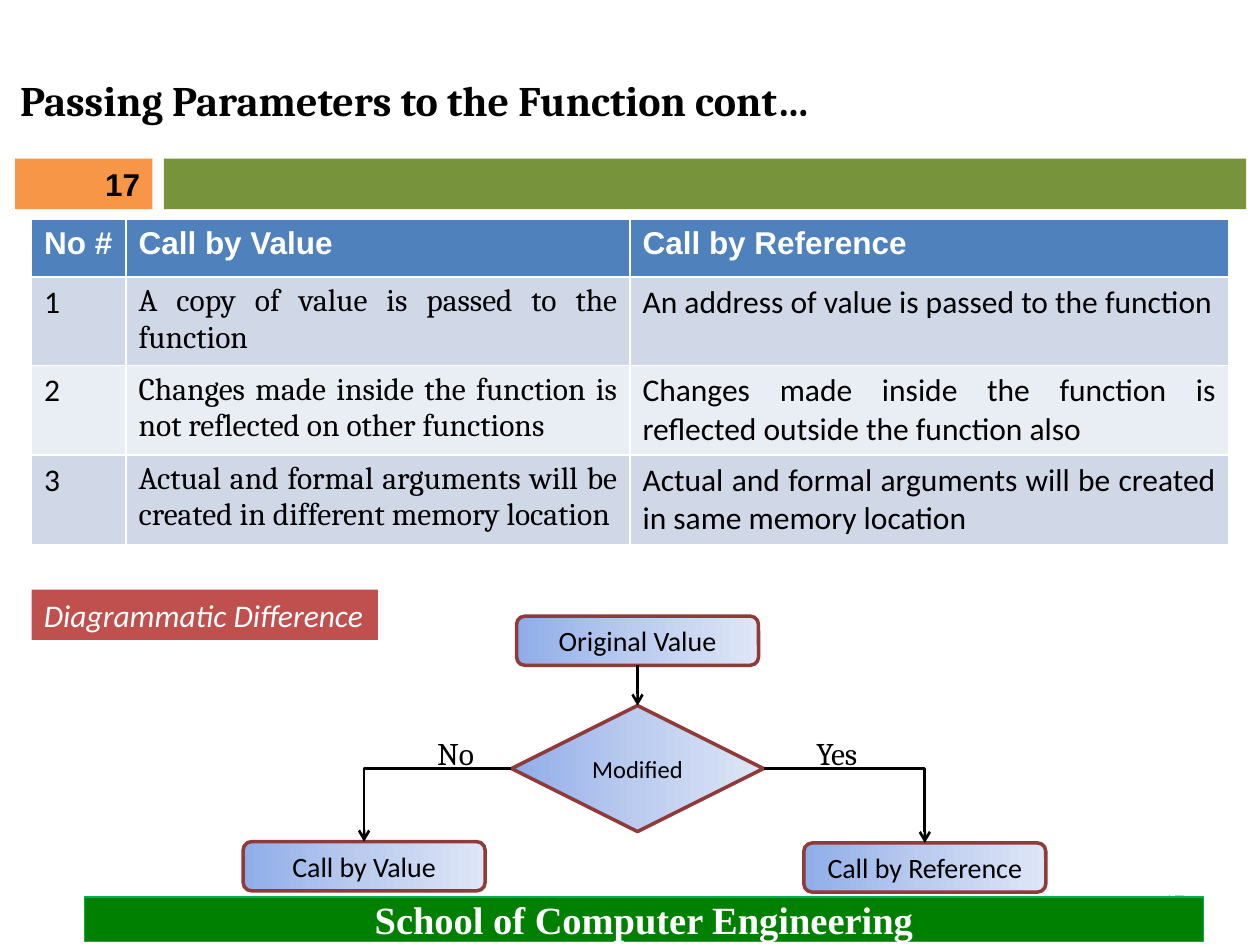
from copy import deepcopy
from pptx import Presentation
from pptx.dml.color import RGBColor
from pptx.enum.shapes import MSO_CONNECTOR as CONN, MSO_SHAPE as SHAPE
from pptx.enum.text import MSO_ANCHOR as ANCHOR, PP_ALIGN as ALIGN
from pptx.oxml.ns import qn
from pptx.util import Inches, Pt

COLS, ROWS = 100, 75
WIDTH, HEIGHT = Inches(10), Inches(7.5)
GRADIENT = [(0, "8FADE9"), (0.5, "BCCCEF"), (1, "DEE6F7")]
TABLE_ROWS = [
    ("No #", "Call by Value", "Call by Reference"),
    ("1", "A copy of value is passed to the function",
     "An address of value is passed to the function"),
    ("2", "Changes made inside the function is not reflected on other functions",
     "Changes made inside the function is reflected outside the function also"),
    ("3", "Actual and formal arguments will be created in different memory location",
     "Actual and formal arguments will be created in same memory location"),
]


def rgb(color):
    """Turn a hex string into a colour."""
    return RGBColor.from_string(color)


def x_at(col):
    """Horizontal length of a number of grid columns."""
    return int(WIDTH * col / COLS)


def y_at(row):
    """Vertical length of a number of grid rows."""
    return int(HEIGHT * row / ROWS)


def grid(box):
    """Turn a left, top, width, height box of grid units into lengths."""
    left, top, width, height = box
    return x_at(left), y_at(top), x_at(width), y_at(height)


def write(tf, text, font, size, color="000000", align=ALIGN.LEFT,
          bold=False, italic=False):
    """Set one paragraph of text and format its run."""
    tf.text = text
    p = tf.paragraphs[0]
    p.alignment = align
    f = p.runs[0].font
    f.name, f.size, f.bold, f.italic = font, Pt(size), bold, italic
    f.color.rgb = rgb(color)


def add_block(slide, box, fill, kind=SHAPE.RECTANGLE, line=None, weight=0.75):
    """Add a flat shape with an optional outline."""
    sp = slide.shapes.add_shape(kind, *grid(box))
    sp.shadow.inherit = False
    sp.fill.solid()
    sp.fill.fore_color.rgb = rgb(fill)
    if line:
        sp.line.color.rgb = rgb(line)
        sp.line.width = Pt(weight)
    else:
        sp.line.fill.background()
    sp.text_frame.vertical_anchor = ANCHOR.MIDDLE
    return sp


def add_label(slide, box, text, font, size, color="000000", align=ALIGN.LEFT,
              anchor=ANCHOR.TOP, wrap=False):
    """Add a plain text box."""
    tf = slide.shapes.add_textbox(*grid(box)).text_frame
    tf.word_wrap = wrap
    tf.vertical_anchor = anchor
    write(tf, text, font, size, color, align)


def add_title(slide, box, text):
    """Place and format the title placeholder."""
    title = slide.shapes.title
    title.left, title.top, title.width, title.height = grid(box)
    title.text_frame.vertical_anchor = ANCHOR.MIDDLE
    write(title.text_frame, text, "Cambria", 24, bold=True)


def add_footer(slide, box, text, number):
    """Add the footer banner over the small page number."""
    left, top, width, _ = box
    add_label(slide, (left + width - 23.8, top - 1.7, 23.3, 4), number,
              "Calibri", 12, "8C8C8C", ALIGN.RIGHT, ANCHOR.MIDDLE, True)
    sp = add_block(slide, box, "008000", line="00B050")
    write(sp.text_frame, text, "Times New Roman", 22, "FFFFFF", ALIGN.CENTER, True)


def add_comparison(slide, box):
    """Add the comparison table."""
    table = slide.shapes.add_table(len(TABLE_ROWS), 3, *grid(box)).table
    for column, width in zip(table.columns, (7.5, 40, 47.5)):
        column.width = x_at(width)
    for row, height in zip(table.rows, (4.6, 6.7, 7.1, 7.1)):
        row.height = y_at(height)
    for i, texts in enumerate(TABLE_ROWS):
        for j, text in enumerate(texts):
            cell = table.cell(i, j)
            cell.fill.solid()
            if i == 0:
                cell.fill.fore_color.rgb = rgb("4F81BD")
                write(cell.text_frame, text, "Arial", 18, "FFFFFF", bold=True)
            else:
                cell.fill.fore_color.rgb = rgb("D0D8E8" if i % 2 else "E9EDF4")
                write(cell.text_frame, text, "Cambria" if j == 1 else "Calibri", 18,
                      align=ALIGN.JUSTIFY if j else ALIGN.LEFT)


def add_node(slide, box, text, kind=SHAPE.ROUNDED_RECTANGLE, size=16):
    """Add a flowchart node with a gradient fill."""
    sp = add_block(slide, box, "FFFFFF", kind, "8E3B39", 2)
    sp.fill.gradient()
    sp.fill.gradient_angle = 0
    stops = sp._element.spPr.find(".//" + qn("a:gsLst"))
    stops.insert(1, deepcopy(stops[0]))
    for stop, (position, color) in zip(sp.fill.gradient_stops, GRADIENT):
        stop.position = position
        stop.color.rgb = rgb(color)
    write(sp.text_frame, text, "Calibri", size, align=ALIGN.CENTER)
    return sp


def add_arrow(slide, start, start_site, end, end_site, kind=CONN.STRAIGHT):
    """Join two nodes with an arrow, bent once when it is an elbow."""
    cxn = slide.shapes.add_connector(kind, 0, 0, 0, 0)
    cxn.begin_connect(start, start_site)
    cxn.end_connect(end, end_site)
    cxn.line.color.rgb = rgb("000000")
    cxn.line.width = Pt(1.5)
    spPr = cxn._element.spPr
    if kind == CONN.ELBOW:
        spPr.find(qn("a:prstGeom")).set("prst", "bentConnector2")
    ln = spPr.find(qn("a:ln"))
    ln.append(ln.makeelement(qn("a:tailEnd"), {"type": "arrow"}))
    spPr.append(spPr.makeelement(qn("a:effectLst"), {}))


def add_flowchart(slide, box):
    """Add the decision diagram inside its box."""
    left, top, width, height = box
    node_w, node_h = 19.2, 3.9
    middle, low = left + 31.3, top + height - node_h
    source = add_node(slide, (middle - node_w / 2, top, node_w, node_h), "Original Value")
    choice = add_node(slide, (middle - 10, top + 7.1, 20, 10), "Modified",
                      SHAPE.DIAMOND, 14)
    reference = add_node(slide, (left + width - node_w, low, node_w, node_h),
                         "Call by Reference")
    value = add_node(slide, (left, low - 0.1, node_w, node_h), "Call by Value")
    add_arrow(slide, source, 2, choice, 0)
    add_arrow(slide, choice, 3, reference, 0, CONN.ELBOW)
    add_arrow(slide, choice, 1, value, 0, CONN.ELBOW)
    add_label(slide, (middle + 13.2, top + 8.9, 5.5, 4), "Yes", "Cambria", 18)
    add_label(slide, (middle - 16.9, top + 8.9, 5.1, 4), "No", "Cambria", 18)


def add_caption(slide, box, text):
    """Add the caption of the diagram."""
    sp = add_block(slide, box, "C0504D")
    sp.text_frame.vertical_anchor = ANCHOR.TOP
    write(sp.text_frame, text, "Calibri", 18, "FFFFFF", italic=True)


def add_band(slide, box, number):
    """Add the band under the title with the slide number."""
    left, top, width, height = box
    add_block(slide, (left + 11.8, top, width - 11.8, height), "77933C")
    sp = add_block(slide, (left, top, 10.9, height), "F79646")
    write(sp.text_frame, number, "Arial", 18, align=ALIGN.RIGHT, bold=True)


def main():
    """Build the slide and save it."""
    prs = Presentation()
    prs.slide_width, prs.slide_height = WIDTH, HEIGHT
    slide = prs.slides.add_slide(prs.slide_layouts[5])
    add_title(slide, (0.6, 2.5, 89.2, 10.8), "Passing Parameters to the Function cont…")
    add_footer(slide, (6.7, 71.2, 88.8, 3.5), "School of Computer Engineering", "17")
    add_comparison(slide, (2.5, 17.4, 95, 25.5))
    add_flowchart(slide, (19.3, 48.9, 63.7, 21.9))
    add_caption(slide, (2.5, 46.8, 27.5, 4), "Diagrammatic Difference")
    add_band(slide, (1.2, 12.6, 97.7, 4), "17")
    prs.save("out.pptx")


if __name__ == "__main__":
    main()
